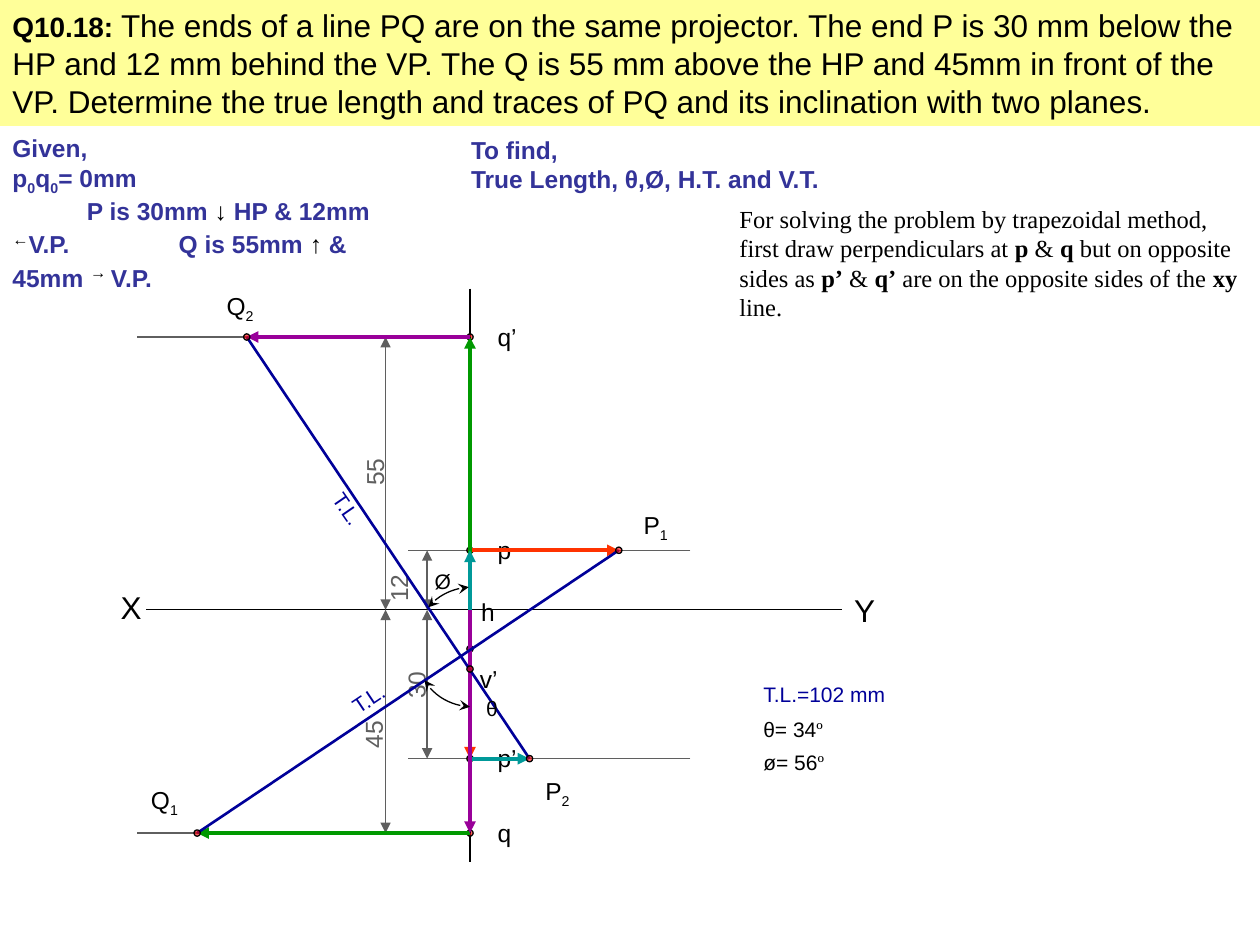
from lxml import etree
from pptx import Presentation
from pptx.dml.color import RGBColor
from pptx.enum.shapes import MSO_CONNECTOR, MSO_SHAPE
from pptx.oxml.ns import qn
from pptx.util import Inches, Pt

STRAIGHT = MSO_CONNECTOR.STRAIGHT
RECT, OVAL = MSO_SHAPE.RECTANGLE, MSO_SHAPE.OVAL
BLACK, GREY, INDIGO, NAVY = "000000", "5F5F5F", "333399", "000099"
RED, GREEN, TEAL, PURPLE = "FF3300", "009900", "009999", "990099"
MM = 1 / 25.4  # the drawing is full size
SUB, SUP = {"base": -25}, {"base": 30, "size": 16, "bold": False, "color": BLACK}
BOLD = {"bold": True}


def rgb(code):
    return RGBColor.from_string(code)


def style(run, form):
    for key, value in form.items():
        if key == "color":
            run.font.color.rgb = rgb(value)
        elif key == "base":
            run._r.get_or_add_rPr().set("baseline", str(value * 1000))
        else:
            setattr(run.font, key, Pt(value) if key == "size" else value)


def fill_text(frame, paras, **form):
    """Write paragraphs, each a list of plain strings or (string, format) pairs."""
    frame.word_wrap = True
    base = {"name": "Arial", "size": 14, "color": BLACK, **form}
    for i, runs in enumerate(paras):
        para = frame.paragraphs[0] if i == 0 else frame.add_paragraph()
        for item in runs:
            words, extra = (item, {}) if isinstance(item, str) else item
            run = para.add_run()
            run.text = words
            style(run, {**base, **extra})


def add_text(slide, box, paras, turn=0, **form):
    shape = slide.shapes.add_textbox(*map(Inches, box))
    shape.rotation = turn
    fill_text(shape.text_frame, paras, **form)
    return shape


def set_line(shape, color, width, heads=()):
    """Set the line; heads holds pairs of end tag and arrow type."""
    shape.line.color.rgb = rgb(color)
    shape.line.width = Pt(width)
    for tag, kind in heads:
        etree.SubElement(shape.line._get_or_add_ln(), qn(tag), type=kind)


def add_line(slide, start, end, color, width=0.75, ends=()):
    line = slide.shapes.add_connector(STRAIGHT, *map(Inches, (*start, *end)))
    set_line(line, color, width, [(tag, "triangle") for tag in ends])
    etree.SubElement(line._element.spPr, qn("a:effectLst"))


def add_dot(slide, x, y):
    size = 0.05
    dot = slide.shapes.add_shape(
        OVAL, *map(Inches, (x - size / 2, y - size / 2, size, size)))
    dot.shadow.inherit = False
    dot.fill.solid()
    dot.fill.fore_color.rgb = rgb("FF0000")
    color = dot._element.spPr.find(".//" + qn("a:srgbClr"))
    etree.SubElement(color, qn("a:alpha"), val="61000")
    set_line(dot, BLACK, 0.75)


def add_arc(slide, points):
    """Draw a cubic Bezier curve with an arrowhead at each end."""
    steps = 12
    curve = []
    for i in range(steps + 1):
        t = i / steps
        u = 1 - t
        parts = (u**3, 3 * u * u * t, 3 * u * t * t, t**3)
        curve.append([Inches(sum(w * p[k] for w, p in zip(parts, points)))
                      for k in (0, 1)])
    pen = slide.shapes.build_freeform(*curve[0])
    pen.add_line_segments(curve[1:], close=False)
    arc = pen.convert_to_shape()
    arc.shadow.inherit = False
    arc.fill.background()
    set_line(arc, BLACK, 0.75, [("a:headEnd", "stealth"), ("a:tailEnd", "stealth")])


def add_title(slide, box):
    bar = slide.shapes.add_shape(RECT, *map(Inches, box))
    bar.shadow.inherit = False
    bar.fill.solid()
    bar.fill.fore_color.rgb = rgb("FFFF99")
    bar.line.fill.background()
    fill_text(bar.text_frame, [[
        ("Q10.18: ", {"bold": True, "size": 16}),
        "The ends of a line PQ are on the same projector. The end P is 30 mm "
        "below the HP and 12 mm behind the VP. The Q is 55 mm above the HP and "
        "45mm in front of the VP. Determine the true length and traces of PQ "
        "and its inclination with two planes."]], size=18)
    bar.text_frame.paragraphs[0].alignment = 1


def add_given(slide, box):
    dark = {"color": BLACK}
    shape = add_text(slide, box, [
        ["Given,"],
        ["p", ("0", SUB), "q", ("0", SUB), "= 0mm"],
        ["P is 30mm ", ("↓", dark), " HP & 12mm"],
        [("←", SUP), "V.P.\tQ is 55mm ", ("↑", dark), " &"],
        ["45mm ", ("→ ", SUP), "V.P."]], color=INDIGO, bold=True)
    paras = shape.text_frame.paragraphs
    paras[2]._p.get_or_add_pPr().set("marL", str(Inches(0.59)))
    tabs = etree.SubElement(paras[3]._p.get_or_add_pPr(), qn("a:tabLst"))
    etree.SubElement(tabs, qn("a:tab"), pos=str(Inches(1.32)), algn="l")


def add_find(slide, box):
    add_text(slide, box, [["To find,"], ["True Length, θ,Ø, H.T. and V.T."]],
             color=INDIGO, bold=True)


def add_note(slide, box):
    add_text(slide, box, [[
        "For solving the problem by trapezoidal method, first draw "
        "perpendiculars at ", ("p", BOLD), " & ", ("q ", BOLD),
        "but on opposite sides as ", ("p’", BOLD), " & ", ("q’", BOLD),
        " are on the opposite sides of the ", ("xy", BOLD), " line."]],
        name="Times New Roman")


def add_result(slide, box):
    left, top, wide, high = box
    mark = ("º", {"name": "Times New Roman"})
    rows = [(0, wide, ["T.L.=102 mm"], NAVY), (0.28, 0.72, ["θ= 34", mark], BLACK),
            (0.54, 0.72, ["ø= 56", mark], BLACK)]
    for down, width, runs, color in rows:
        add_text(slide, (left, top + down, width, 0.3), [runs], size=12, color=color)


def add_plot(slide, box):
    """Draw the projections around the point where XY meets the projector."""
    ox, oy = box[0] + 2.87, box[1] + 2.55

    def at(x, y):
        return ox + x, oy + y

    def mm(x, y):
        return at(x * MM, y * MM)

    def label(x, y, runs, wide=0.42, high=0.33, turn=0, **form):
        add_text(slide, (*at(x, y), wide, high), [runs], turn, **form)

    add_line(slide, at(-2.57, 0), at(2.95, 0), BLACK)
    add_line(slide, at(0, -2.55), at(0, 2), BLACK)
    label(-2.87, -0.22, ["X"], 0.59, 0.4, size=18)
    label(2.95, -0.2, ["Y"], 0.53, 0.4, size=18)

    both = ("a:headEnd", "a:tailEnd")
    # name, height in mm, dimension line, its number, near and far guide ends
    ends = [("p’", 30, -0.34, (-0.67, 0.4), -0.49, 1.75),
            ("p", -12, -0.34, (-0.81, -0.37), -0.49, 1.75),
            ("q’", -55, -0.67, (-1, -1.29), -0.75, -2.64),
            ("q", 45, -0.67, (-1.01, 0.79), -0.75, -2.64)]
    for name, y, x, spot, near, far in ends:
        first, last = sorted((0, y * MM))
        add_line(slide, at(x, first), at(x, last), GREY, ends=both)
        label(*spot, [str(abs(y))], 0.48, turn=270, color=GREY)
        for edge in (near, far):
            add_line(slide, at(edge, y * MM), mm(0, y), GREY)
        add_dot(slide, *mm(0, y))
        label(0.12, y * MM - 0.17, [name])
    add_line(slide, mm(0, 45), mm(0, -55), BLACK, 1.5)
    add_dot(slide, *at(0, 0.31))

    rays = [((0, 0), (0, 30), RED), ((0, -12), (30, -12), RED),
            ((0, 0), (0, -55), GREEN), ((0, 45), (-55, 45), GREEN),
            ((0, 0), (0, -12), TEAL), ((0, 30), (12, 30), TEAL),
            ((0, 0), (0, 45), PURPLE), ((0, -55), (-45, -55), PURPLE)]
    for start, end, color in rays:
        add_line(slide, mm(*start), mm(*end), color, 2.25, ["a:tailEnd"])
    for start, end in [((-55, 45), (30, -12)), ((12, 30), (-45, -55))]:
        add_line(slide, mm(*start), mm(*end), NAVY, 1.5)
        add_dot(slide, *mm(*start))
        add_dot(slide, *mm(*end))
    add_dot(slide, *at(0, 0.47))

    for x, y, name, num in [(1.28, -0.84, "P", "1"), (-2.63, 1.34, "Q", "1"),
                            (0.5, 1.27, "P", "2"), (-2.03, -2.58, "Q", "2")]:
        label(x, y, [name, (num, SUB)], 0.5)
    label(-0.01, -0.15, ["h"])
    label(-0.02, 0.38, ["v’"])
    for x, y, name in [(0.03, 0.63, "θ"), (-0.38, -0.38, "Ø")]:
        label(x, y, [name], 0.28, 0.3, size=12)
    for x, y, turn in [(-1.05, 0.52, 326.1), (-1.23, -0.9, 55.4)]:
        label(x, y, ["T.L."], 0.59, 0.3, turn, size=12, color=NAVY)
    for arc in [((0, 0.77), (-0.15, 0.76), (-0.28, 0.69), (-0.36, 0.56)),
                ((-0.33, -0.02), (-0.25, -0.12), (-0.13, -0.17), (-0.01, -0.18))]:
        add_arc(slide, [at(*point) for point in arc])


def main():
    deck = Presentation()
    deck.slide_width, deck.slide_height = Inches(10), Inches(7.5)
    slide = deck.slides.add_slide(deck.slide_layouts[6])
    add_title(slide, (0, 0, 10, 1))
    add_given(slide, (0, 1.01, 3.08, 1.08))
    add_find(slide, (3.64, 1.02, 3.43, 0.57))
    add_plot(slide, (0.86, 2.29, 6.35, 4.55))
    add_note(slide, (5.77, 1.57, 4.23, 1.03))
    add_result(slide, (5.96, 5.36, 1.19, 0.84))
    deck.save("out.pptx")


if __name__ == "__main__":
    main()
